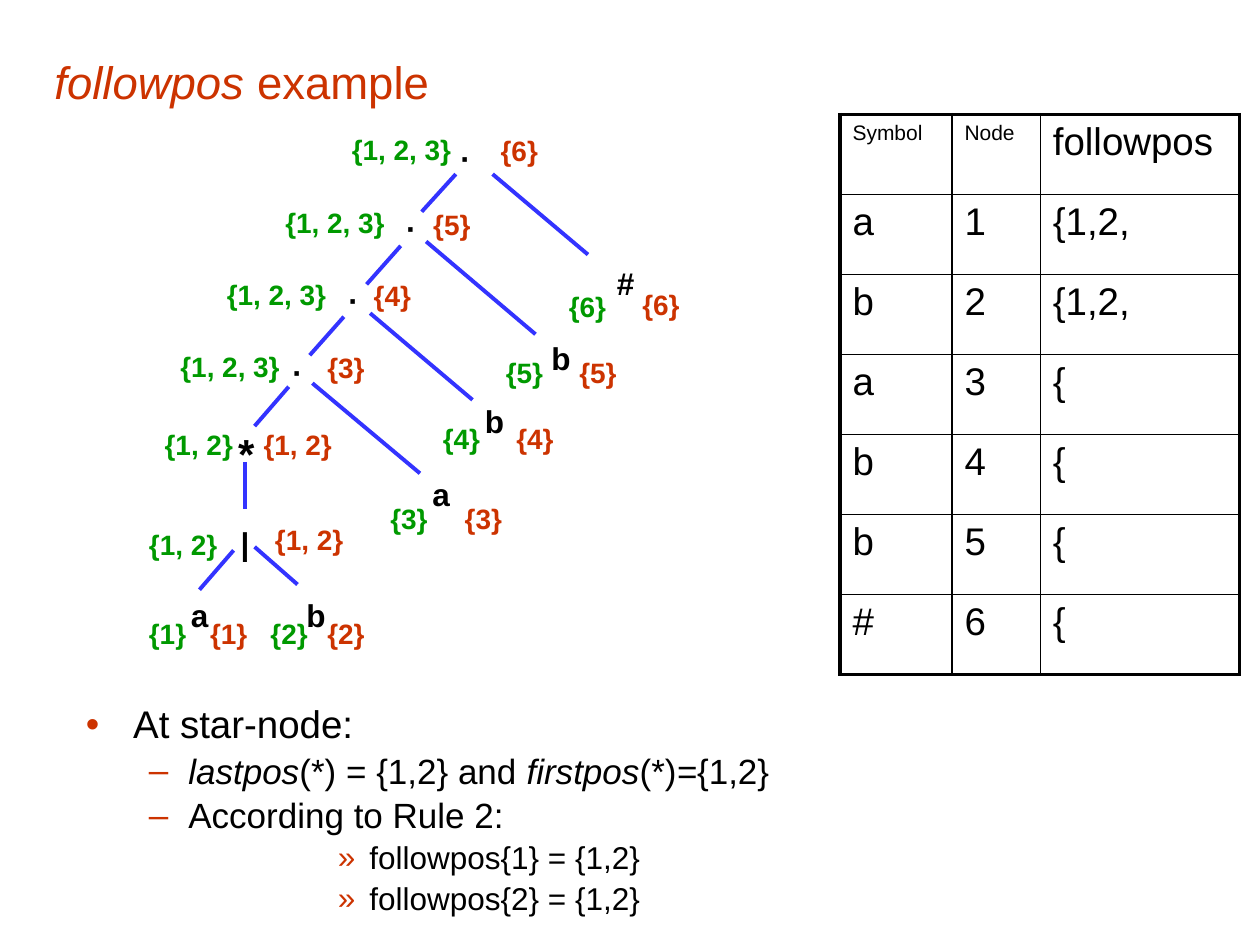
from lxml import etree
from pptx import Presentation
from pptx.dml.color import RGBColor
from pptx.enum import shapes, text
from pptx.oxml.ns import qn
from pptx.util import Pt

COLORS = {"accent": "CC3300", "first": "009900", "line": "3333FF", "ink": "000000"}
FONT = "Arial"

# Runs are (text, italic)
TITLE = [("followpos", True), (" example", False)]

# Node symbol, firstpos and lastpos, each as (text, left, top)
NODES = [
    (("∙", 256, 76), ("{1, 2, 3}", 194, 72), ("{6}", 279, 73)),
    (("∙", 225, 116), ("{1, 2, 3}", 156, 114), ("{5}", 240.5, 115)),
    (("∙", 192, 157), ("{1, 2, 3}", 122.5, 155), ("{4}", 206.5, 155.5)),
    (("∙", 160, 198), ("{1, 2, 3}", 96, 196), ("{3}", 180, 196.5)),
    (("*", 129, 241), ("{1, 2}", 87, 240.5), ("{1, 2}", 143.5, 241)),
    (("|", 130.5, 296), ("{1, 2}", 78, 298), ("{1, 2}", 150, 295)),
    (("a", 102, 337), ("{1}", 78, 349), ("{1}", 113, 349)),
    (("b", 168, 337), ("{2}", 147.5, 349), ("{2}", 180, 349)),
    (("a", 240, 268), ("{3}", 216, 283), ("{3}", 258.5, 283)),
    (("b", 270, 226), ("{4}", 246, 237.5), ("{4}", 288, 237.5)),
    (("b", 308, 190), ("{5}", 282, 199.5), ("{5}", 324, 199.5)),
    (("#", 345.5, 147.5), ("{6}", 318, 162), ("{6}", 360, 160.5)),
]
WIDTHS = {"∙": 23, "*": 24, "|": 19.5, "a": 24.5, "b": 25, "#": 24.5,
          "{1, 2, 3}": 71.5, "{1, 2}": 54}
SET_WIDTH = 36

# Tree edges as (x1, y1, x2, y2)
EDGES = [
    (260.5, 99.5, 241, 121), (229, 140.5, 209.5, 162.5),
    (196.5, 181, 177, 203), (165, 221, 145.5, 243.5),
    (133.5, 314.5, 114, 337), (281.5, 99.5, 336, 145.5),
    (243.5, 138, 306, 191), (211.5, 179, 270, 228.5),
    (178.5, 219, 240, 270.5), (145.5, 312.5, 170, 334),
    (140, 264, 140, 291),
]

# Level and runs
NOTES = [
    (0, [("At star-node:", False)]),
    (1, [("lastpos", True), ("(*) = {1,2} and ", False), ("firstpos", True),
         ("(*)", False), ("=", True), ("{1,2}", False)]),
    (1, [("According to Rule 2:", False)]),
    (4, [("followpos{1} = {1,2}", False)]),
    (4, [("followpos{2} = {1,2}", False)]),
]
# Level: bullet, size, left margin, hanging indent, space before
LEVELS = {0: ("•", 22, 27, 27, 4.4), 1: ("–", 20, 58.5, 22.5, 4),
          4: ("»", 18, 162, 18, 3.6)}

ROWS = [
    ("Symbol", "Node", "followpos"),
    ("a", "1", "{1,2,"), ("b", "2", "{1,2,"), ("a", "3", "{"),
    ("b", "4", "{"), ("b", "5", "{"), ("#", "6", "{"),
]
COL_WIDTHS = (64, 50.5, 114)
ROW_HEIGHT = 45.7
SMALL_HEADS = ("Symbol", "Node")


def style(r, size, color="ink", bold=False, italic=False):
    r.font.name = FONT
    r.font.size = Pt(size)
    r.font.bold = bold
    r.font.italic = italic
    r.font.color.rgb = RGBColor.from_string(COLORS[color])


def add_box(s, left, top, width, height, wrap=True):
    tf = s.shapes.add_textbox(Pt(left), Pt(top), Pt(width), Pt(height)).text_frame
    tf.word_wrap = wrap
    return tf


def add_runs(p, runs, size, color="ink"):
    for words, italic in runs:
        r = p.add_run()
        r.text = words
        style(r, size, color, italic=italic)


def add_label(s, label, size, color):
    words, left, top = label
    tf = add_box(s, left, top, WIDTHS.get(words, SET_WIDTH), size * 1.2 + 7.2, False)
    tf.text = words
    style(tf.paragraphs[0].runs[0], size, color, bold=True)


def add_bullet(p, char, margin, hang):
    pPr = p._p.get_or_add_pPr()
    pPr.set("marL", str(Pt(margin)))
    pPr.set("indent", str(-Pt(hang)))
    clr = etree.SubElement(pPr, qn("a:buClr"))
    etree.SubElement(clr, qn("a:srgbClr"), val=COLORS["accent"])
    etree.SubElement(pPr, qn("a:buFont"), typeface=FONT)
    etree.SubElement(pPr, qn("a:buChar"), char=char)


def add_borders(cell, widths):
    tcPr = cell._tc.get_or_add_tcPr()
    for side, width in widths.items():
        ln = etree.SubElement(tcPr, qn("a:ln" + side), w=str(Pt(width)))
        fill = etree.SubElement(ln, qn("a:solidFill"))
        etree.SubElement(fill, qn("a:srgbClr"), val=COLORS["ink"])


def add_edge(s, x1, y1, x2, y2):
    sp = s.shapes.add_connector(shapes.MSO_CONNECTOR.STRAIGHT,
                                Pt(x1), Pt(y1), Pt(x2), Pt(y2))
    sp.line.color.rgb = RGBColor.from_string(COLORS["line"])
    sp.line.width = Pt(2.25)
    etree.SubElement(sp._element.spPr, qn("a:effectLst"))


def add_followpos_table(s):
    last_row, last_col = len(ROWS) - 1, len(COL_WIDTHS) - 1
    table = s.shapes.add_table(len(ROWS), len(COL_WIDTHS), Pt(480), Pt(65.5),
                               Pt(sum(COL_WIDTHS)), Pt(ROW_HEIGHT * len(ROWS))).table
    table.first_row = table.horz_banding = False
    for col, width in zip(table.columns, COL_WIDTHS):
        col.width = Pt(width)
    for i, row in enumerate(ROWS):
        table.rows[i].height = Pt(ROW_HEIGHT)
        for j, words in enumerate(row):
            cell = table.cell(i, j)
            cell.text = words
            style(cell.text_frame.paragraphs[0].runs[0],
                  12 if words in SMALL_HEADS else 22)
            outer = {"L": j == 0, "R": j == last_col, "T": i == 0, "B": i == last_row}
            add_borders(cell, {k: 2.25 if edge else 1 for k, edge in outer.items()})
            cell.fill.background()


def main():
    prs = Presentation()
    prs.slide_width, prs.slide_height = Pt(720), Pt(540)
    s = prs.slides.add_slide(prs.slide_layouts[6])

    # Title
    tf = add_box(s, 24, 21.5, 677, 50.5)
    tf.vertical_anchor = text.MSO_ANCHOR.MIDDLE
    add_runs(tf.paragraphs[0], TITLE, 26, "accent")

    # Notes on the star node
    tf = add_box(s, 42, 399.5, 666, 136)
    for i, (level, runs) in enumerate(NOTES):
        char, size, margin, hang, before = LEVELS[level]
        p = tf.add_paragraph() if i else tf.paragraphs[0]
        p.level = level
        p.line_spacing = 0.9
        if i:
            p.space_before = Pt(before)
        add_bullet(p, char, margin, hang)
        add_runs(p, runs, size)

    # Syntax tree
    for edge in EDGES:
        add_edge(s, *edge)
    for symbol, first, last in NODES:
        add_label(s, symbol, 24 if symbol[0] == "*" else 18, "ink")
        add_label(s, first, 16, "first")
        add_label(s, last, 16, "accent")

    add_followpos_table(s)
    prs.save("out.pptx")


if __name__ == "__main__":
    main()
